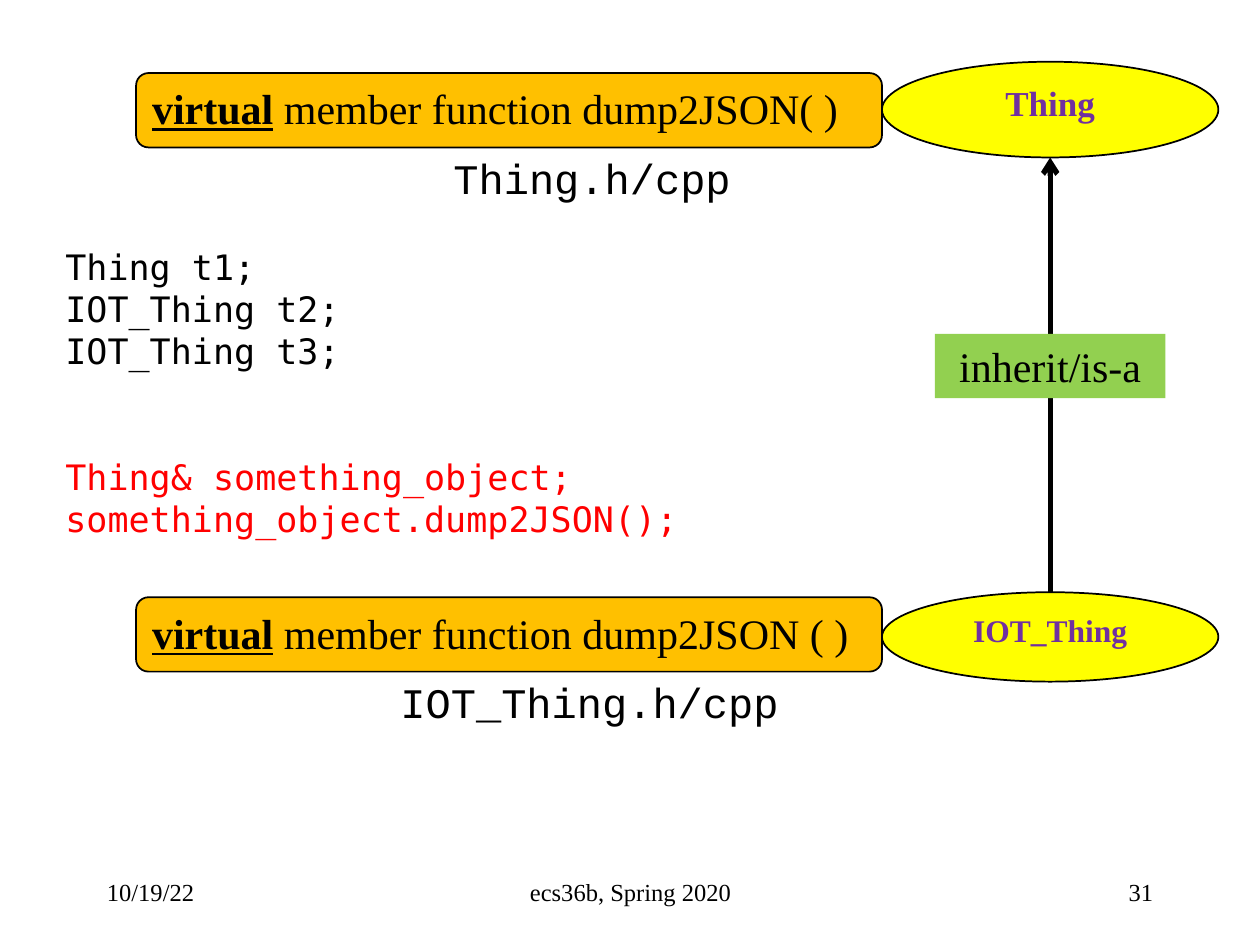
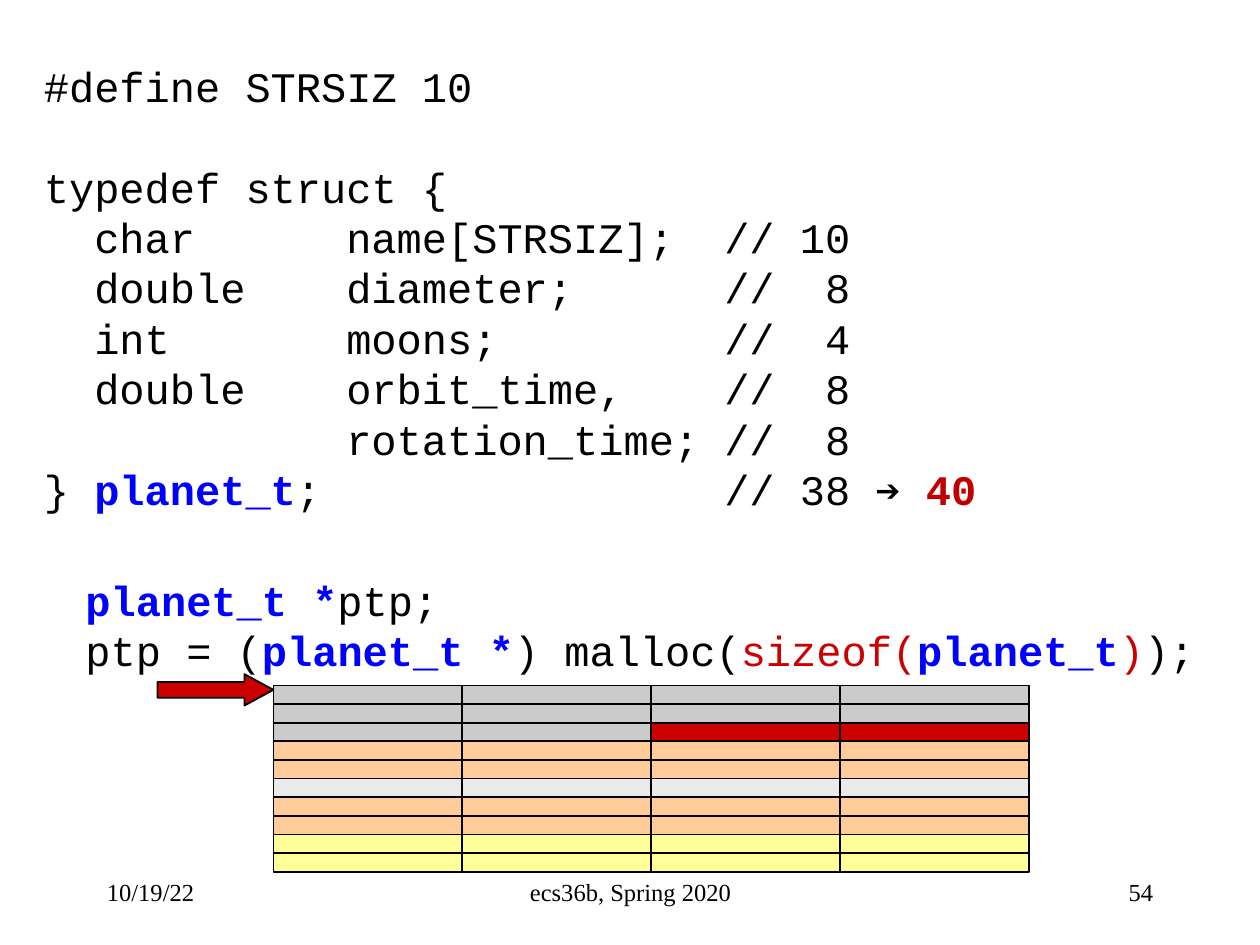
from lxml import etree
from pptx import Presentation
from pptx import util as u
from pptx.dml.color import RGBColor
from pptx.enum import shapes, text
from pptx.oxml.ns import qn

HUES = {
    "black": "000000", "white": "FFFFFF", "yellow": "FFFF00", "purple": "7030A0",
    "green": "92D050", "orange": "FFC000", "red": "FF0000", "blue": "0000FF",
    "brick": "C00000", "crimson": "CC0000", "gray": "CBCBCB", "peach": "FFCC99",
    "pale": "EAEAEA", "lemon": "FFFF99",
}
SERIF, MONO, CODE = "Times New Roman", "Courier New", "DejaVu Sans Mono"
LEFT, MID, RIGHT = text.PP_ALIGN.LEFT, text.PP_ALIGN.CENTER, text.PP_ALIGN.RIGHT
KIND = shapes.MSO_SHAPE

FOOT = [(0.75, 2.08, LEFT), (3.42, 3.17, MID), (7.17, 2.08, RIGHT)]
DATE, COURSE = "10/19/22", "ecs36b, Spring 2020"

TYPES = [
    ("Thing", 20, (7, 0.49, 2.67, 0.76)),
    ("IOT_Thing", 18, (7, 4.7, 2.67, 0.71)),
]
MEMBERS = [
    (" member function dump2JSON( )", 0.58),
    (" member function dump2JSON ( )", 4.74),
]
FILES = [
    ("Thing.h/cpp", (3.5, 1.16, 2.42, 0.5)),
    ("IOT_Thing.h/cpp", (3.08, 5.32, 3.23, 0.5)),
]
USAGE = [
    [("Thing t1;", "black")],
    [("IOT_Thing t2;", "black")],
    [("IOT_Thing t3;", "black")],
    [("Thing& something_object;", "red")],
    [("something_object.dump2JSON();", "red")],
]
STRUCT = [
    [("#define STRSIZ 10", "black")],
    [("typedef struct {", "black")],
    [("\tchar\tname[STRSIZ];\t//\t10", "black")],
    [("\tdouble\tdiameter;\t//\t8", "black")],
    [("\tint\tmoons;\t//\t4", "black")],
    [("\tdouble\torbit_time,\t//\t8", "black")],
    [("\t\trotation_time;\t//\t8", "black")],
    [("} ", "black"), ("planet_t", "blue", "b"), (";\t\t// 38 ➔ ", "black"),
     ("40", "brick", "b")],
]
STOPS = [(0.4, "l"), (2.4, "l"), (5.4, "l"), (6.4, "r")]
ALLOC = [
    [("planet_t *", "blue", "b"), ("ptp;", "black")],
    [("ptp = (", "black"), ("planet_t *", "blue", "b"), (") malloc(", "black"),
     ("sizeof(", "crimson"), ("planet_t", "blue", "b"), (")", "crimson"),
     (");", "black")],
]
WORDS = [
    ["gray"] * 4,
    ["gray"] * 4,
    ["gray", "gray", "crimson", "crimson"],
    ["peach"] * 4,
    ["peach"] * 4,
    ["pale"] * 4,
    ["peach"] * 4,
    ["peach"] * 4,
    ["lemon"] * 4,
    ["lemon"] * 4,
]


def hue(name):
    return RGBColor.from_string(HUES[name])


def inch(box):
    return [u.Inches(n) for n in box]


def write(frame, lines, font, size, align=LEFT, gaps=(), pitch=None):
    for i, line in enumerate(lines):
        para = frame.paragraphs[0] if i == 0 else frame.add_paragraph()
        para.alignment = align
        para.font.name, para.font.size = font, u.Pt(size)
        if pitch:
            para.line_spacing = u.Pt(pitch)
        if i in gaps:
            para.space_before = u.Pt(gaps[i])
        for words, color, *marks in line:
            run = para.add_run()
            run.text = words
            run.font.color.rgb = hue(color)
            run.font.bold = "b" in marks
            run.font.underline = "u" in marks


def label(slide, box, lines, font, size, wrap=False, **how):
    frame = slide.shapes.add_textbox(*inch(box)).text_frame
    frame.word_wrap = wrap
    write(frame, lines, font, size, **how)
    return frame


def draw(home, kind, box, fill, line=True):
    shape = home.add_shape(kind, *inch(box))
    shape.shadow.inherit = False
    shape.fill.solid()
    shape.fill.fore_color.rgb = hue(fill)
    if line:
        shape.line.color.rgb = hue("black")
        shape.line.width = u.Pt(1)
    else:
        shape.line.fill.background()
    shape.text_frame.vertical_anchor = text.MSO_ANCHOR.TOP
    return shape


def start(deck, page):
    slide = deck.slides.add_slide(deck.slide_layouts[6])
    slide.background.fill.solid()
    slide.background.fill.fore_color.rgb = hue("white")
    for (left, width, align), words in zip(FOOT, (DATE, COURSE, page)):
        frame = label(slide, (left, 6.83, width, 0.5), [[(words, "black")]],
                      SERIF, 14, wrap=True, align=align)
        frame.vertical_anchor = text.MSO_ANCHOR.MIDDLE
    return slide


def inherit(deck):
    slide = start(deck, "31")
    ovals = []
    for name, size, box in TYPES:
        oval = draw(slide.shapes, KIND.OVAL, box, "yellow")
        write(oval.text_frame, [[(name, "purple", "b")]], SERIF, size, MID)
        ovals.append(oval)
    base, child = ovals
    mid = base.left + base.width // 2
    arrow = slide.shapes.add_connector(shapes.MSO_CONNECTOR.STRAIGHT, mid, child.top,
                                       mid, base.top + base.height)
    arrow.begin_connect(child, 0)
    arrow.line.color.rgb = hue("black")
    arrow.line.width = u.Pt(3)
    etree.SubElement(arrow.line._get_or_add_ln(), qn("a:tailEnd"), type="arrow")
    etree.SubElement(arrow._element.spPr, qn("a:effectLst"))

    tag = draw(slide.shapes, KIND.RECTANGLE, (7.42, 2.65, 1.83, 0.51), "green", False)
    write(tag.text_frame, [[("inherit/is-a", "black")]], SERIF, 24, MID)
    for words, top in MEMBERS:
        bar = draw(slide.shapes, KIND.ROUNDED_RECTANGLE, (1.08, top, 5.92, 0.59), "orange")
        write(bar.text_frame, [[("virtual", "black", "b", "u"), (words, "black")]], SERIF, 24)
    for name, box in FILES:
        label(slide, box, [[(name, "black")]], MONO, 24, pitch=28.8)
    label(slide, (0.42, 1.9, 5.08, 2.46), USAGE, CODE, 20, gaps={3: 48}, pitch=24)


def memory(deck):
    slide = start(deck, "54")
    frame = label(slide, (0.25, 0.43, 9.33, 4.14), STRUCT, MONO, 24, wrap=True,
                  gaps={1: 28.8}, pitch=28.8)
    for para in frame.paragraphs:
        tabs = etree.Element(qn("a:tabLst"))
        for place, side in STOPS:
            etree.SubElement(tabs, qn("a:tab"), pos=str(u.Inches(place)), algn=side)
        props = para._p.get_or_add_pPr()
        props.find(qn("a:defRPr")).addprevious(tabs)

    left, top, wide, high = 2.17, 5.44, 1.5, 1.48 / len(WORDS)
    grid = slide.shapes.add_group_shape().shapes
    for row, fills in enumerate(WORDS):
        for col, fill in enumerate(fills):
            draw(grid, KIND.RECTANGLE,
                 (left + col * wide, top + row * high, wide, high), fill)
    arrow = draw(slide.shapes, KIND.RIGHT_ARROW, (1.25, 5.35, 0.92, 0.25), "crimson")
    arrow.adjustments[1] = 0.92
    label(slide, (0.58, 4.51, 9.07, 0.91), ALLOC, MONO, 24, pitch=28.8)


def main():
    deck = Presentation()
    deck.slide_width, deck.slide_height = inch((10, 7.5))
    inherit(deck)
    memory(deck)
    deck.save("out.pptx")


if __name__ == "__main__":
    main()
